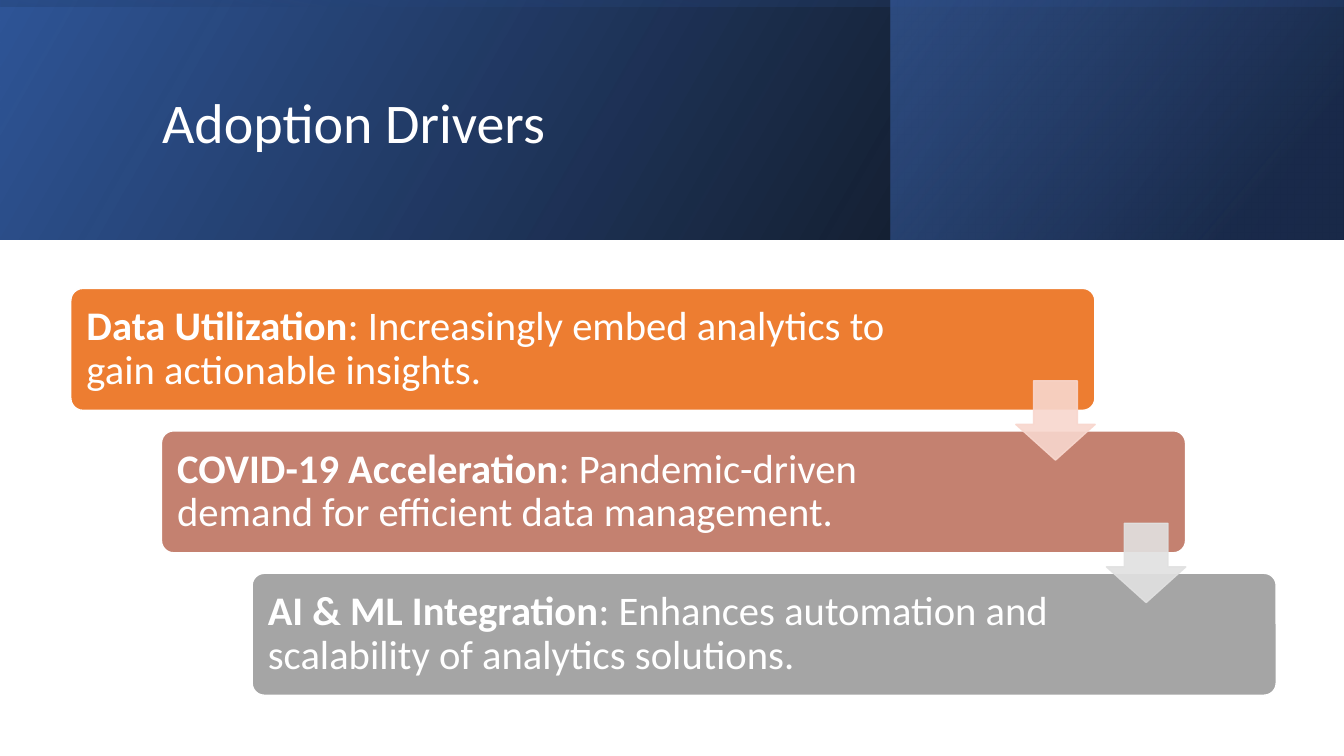
from dataclasses import dataclass

from lxml import etree
from pptx import Presentation
from pptx import util as u
from pptx.dml import color
from pptx.enum import shapes, text
from pptx.oxml import ns

Pt = u.Pt


@dataclass(frozen=True)
class Theme:
    font: str = "Calibri"
    title_size: float = 40
    body_size: float = 29
    white: str = "FFFFFF"
    black: str = "000000"
    navy: str = "203864"
    blue: str = "2F5597"
    light_blue: str = "4472C4"
    bars: tuple = ("ED7D31", "C48170", "A5A5A5")
    arrows: tuple = ("F8D7CE", "E1E1E1")


THEME = Theme()

DRIVERS = [
    ("Data Utilization", ": Increasingly embed analytics to gain actionable insights.", 637),
    ("COVID-19 Acceleration", ": Pandemic-driven demand for efficient data management.", 605),
    ("AI & ML Integration", ": Enhances automation and scalability of analytics solutions.", 605),
]


def rgb(value):
    return color.RGBColor.from_string(value)


def set_alpha(fill_element, percent):
    """Give every colour inside a fill the same opacity."""
    for c in fill_element.iter(ns.qn("a:srgbClr")):
        etree.SubElement(c, ns.qn("a:alpha")).set("val", str(percent * 1000))


def add_shape(s, kind, box, fill=None, adjust=()):
    sp = s.shapes.add_shape(kind, *map(Pt, box))
    sp.shadow.inherit = False
    for i, value in enumerate(adjust):
        sp.adjustments[i] = value
    if fill:
        sp.fill.solid()
        sp.fill.fore_color.rgb = rgb(fill)
        sp.line.width = Pt(1)
    return sp


def add_text(s, box, runs, size, inset=(7.2, 3.6)):
    """Place one paragraph made of (text, bold) runs."""
    tf = s.shapes.add_textbox(*map(Pt, box)).text_frame
    tf.word_wrap = True
    tf.vertical_anchor = text.MSO_ANCHOR.MIDDLE
    tf.margin_left = tf.margin_right = Pt(inset[0])
    tf.margin_top = tf.margin_bottom = Pt(inset[1])
    p = tf.paragraphs[0]
    p.line_spacing = 0.9
    for words, bold in runs:
        r = p.add_run()
        r.text = words
        r.font.name = THEME.font
        r.font.size = Pt(size)
        r.font.bold = bold
        r.font.color.rgb = rgb(THEME.white)


def add_gradient(s, box, stops, angle, rotation=0):
    """Mirrored rectangle; stops are (position, colour, opacity), angle is clockwise."""
    sp = add_shape(s, shapes.MSO_SHAPE.RECTANGLE, box)
    sp.line.fill.background()
    sp.rotation = rotation
    sp._element.spPr.find(ns.qn("a:xfrm")).set("flipH", "1")
    sp.fill.gradient()
    sp.fill.gradient_angle = 360 - angle
    elements = sp._element.spPr.iter(ns.qn("a:gs"))
    for stop, gs, (position, tint, opacity) in zip(sp.fill.gradient_stops, elements, stops):
        stop.position = position / 100
        stop.color.rgb = rgb(tint)
        set_alpha(gs, opacity)


def header(s, box):
    x, y, w, h = box
    t = THEME
    # Layered gradients
    add_gradient(s, box, [(0, t.black, 96), (100, t.blue, 100)], 330)
    add_gradient(s, (x + 636.5, y, 322.9, h), [(19, t.navy, 68), (100, t.light_blue, 48)], 320)
    upright = (x + (w - h) / 2, y + (h - w) / 2, h, w)
    add_gradient(s, upright, [(23, t.blue, 16), (99, t.black, 45)], 350, rotation=270)
    # Title
    add_text(s, (x + 108.7, y + 27.4, 765.4, 123.8), [("Adoption Drivers", None)], t.title_size)


def staircase(s, box):
    x, y, w, h = box
    bar_w, bar_h = 731.5, 87.1
    n = len(DRIVERS)
    step_x, step_y = (w - bar_w) / (n - 1), (h - bar_h) / (n - 1)
    corners = [(x + i * step_x, y + i * step_y) for i in range(n)]
    # Bars with their text
    for (left, top), fill, (name, detail, text_w) in zip(corners, THEME.bars, DRIVERS):
        sp = add_shape(s, shapes.MSO_SHAPE.ROUNDED_RECTANGLE,
                       (left, top, bar_w, bar_h), fill, [0.1])
        sp.line.color.rgb = rgb(THEME.white)
        add_text(s, (left + 2.5, top + 2.5, text_w, bar_h - 5),
                 [(name, True), (detail, False)], THEME.body_size, (8.7, 8.7))
    # Arrows leading from each bar to the next
    for (left, top), fill in zip(corners, THEME.arrows):
        sp = add_shape(s, shapes.MSO_SHAPE.DOWN_ARROW,
                       (left + 675, top + 66, 56.7, 56.7), fill, [0.55, 0.45])
        sp.line.color.rgb = rgb(fill)
        set_alpha(sp._element.spPr, 90)


def main():
    prs = Presentation()
    prs.slide_width, prs.slide_height = Pt(960), Pt(540)
    s = prs.slides.add_slide(prs.slide_layouts[6])
    header(s, (0, 0, 960, 170.9))
    staircase(s, (50.6, 206, 861, 290.6))
    prs.save("out.pptx")


if __name__ == "__main__":
    main()
